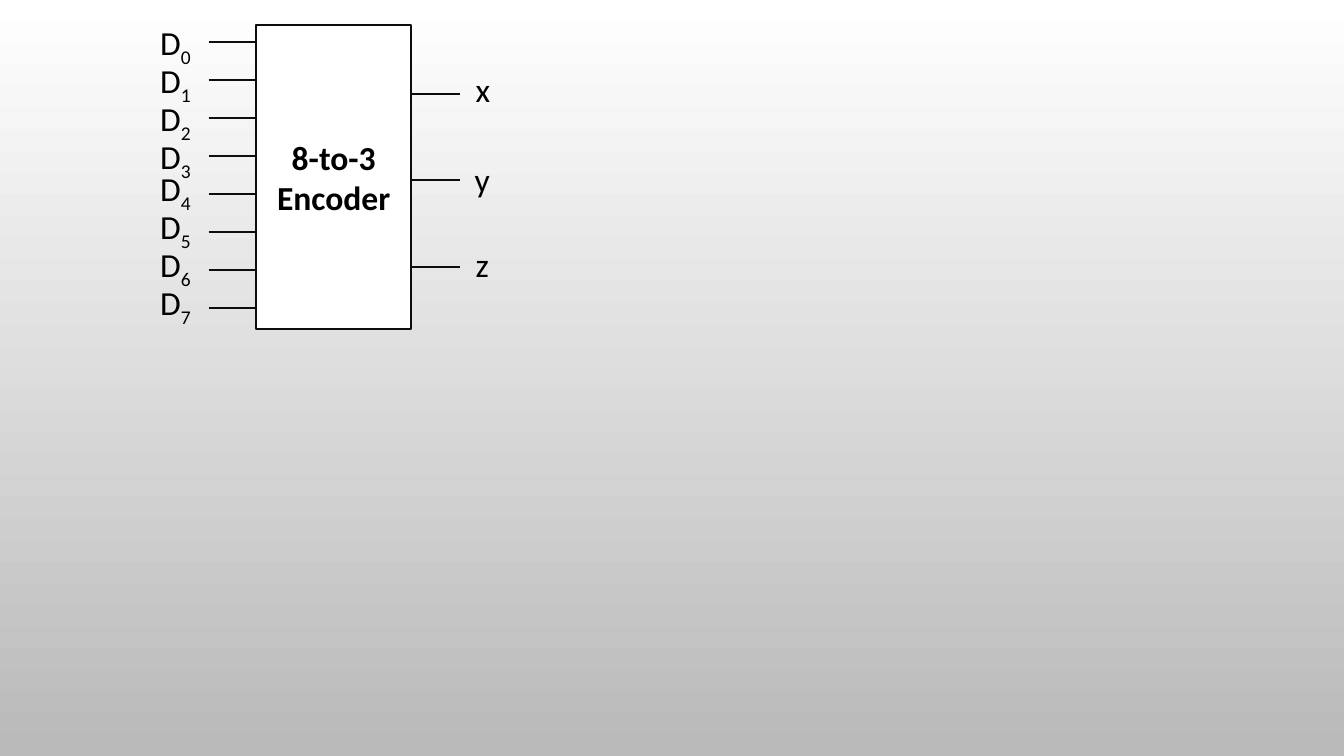
import pptx
import pptx.util
import pptx.dml.color
import pptx.enum.dml
import pptx.enum.shapes
import pptx.enum.text
import pptx.oxml
import pptx.oxml.ns

# Content
ENCODER_NAME = "8-to-3 Encoder"
INPUTS = [("D", str(index)) for index in range(8)]
# Output name, label left, label top, label width
OUTPUTS = [("x", 4.62, 0.63, 0.37), ("y", 4.61, 1.53, 0.37), ("z", 4.62, 2.37, 0.35)]

# Layout in inches
SLIDE_WIDTH, SLIDE_HEIGHT = 13.33, 7.5
BOX_LEFT, BOX_TOP, BOX_WIDTH, BOX_HEIGHT = 2.54, 0.25, 1.54, 3.01
WIRE_LENGTH = 0.47
INPUT_TOP, INPUT_STEP = 0.42, 2.64 / 7
OUTPUT_LEFT, OUTPUT_TOP, OUTPUT_STEP = 4.09, 0.93, 0.86
LABEL_LEFT, LABEL_WIDTH, LABEL_HEIGHT = 1.49, 0.53, 0.5
UPPER_LABEL_RISE, LOWER_LABEL_RISE = 0.25, 0.31

# Style
FONT_NAME, FONT_SIZE, LINE_WIDTH = "Calibri", 24, 1.5
WHITE = pptx.dml.color.RGBColor(0xFF, 0xFF, 0xFF)
GRAY = pptx.dml.color.RGBColor(0xB9, 0xB9, 0xB9)
INK = pptx.dml.color.RGBColor(0x0D, 0x0D, 0x0D)
BLACK = pptx.dml.color.RGBColor(0, 0, 0)


def inches(*lengths):
    return [pptx.util.Inches(length) for length in lengths]


def add_run(paragraph, text, bold=None, subscript=False):
    run = paragraph.add_run()
    run.text = text
    run.font.name = FONT_NAME
    run.font.size = pptx.util.Pt(FONT_SIZE)
    run.font.color.rgb = BLACK
    run.font.bold = bold
    if subscript:
        run._r.get_or_add_rPr().set("baseline", "-25000")


def style_line(line):
    line.color.rgb = INK
    line.width = pptx.util.Pt(LINE_WIDTH)


def add_wire(slide, left, top):
    wire = slide.shapes.add_connector(
        pptx.enum.shapes.MSO_CONNECTOR.STRAIGHT,
        *inches(left, top, left + WIRE_LENGTH, top))
    style_line(wire.line)
    wire._element.spPr.append(pptx.oxml.parse_xml(
        "<a:effectLst %s/>" % pptx.oxml.ns.nsdecls("a")))


def add_label(slide, left, top, width, name, subscript=""):
    label = slide.shapes.add_textbox(*inches(left, top, width, LABEL_HEIGHT))
    frame = label.text_frame
    frame.word_wrap = False
    frame.auto_size = pptx.enum.text.MSO_AUTO_SIZE.SHAPE_TO_FIT_TEXT
    add_run(frame.paragraphs[0], name)
    if subscript:
        add_run(frame.paragraphs[0], subscript, subscript=True)


def main():
    presentation = pptx.Presentation()
    presentation.slide_width, presentation.slide_height = inches(SLIDE_WIDTH, SLIDE_HEIGHT)
    slide = presentation.slides.add_slide(presentation.slide_layouts[6])

    # Background fading from white down to gray
    background = slide.background.fill
    background.gradient()
    background.gradient_angle = 270
    for stop, color, position in zip(background.gradient_stops, (WHITE, GRAY), (0, 1)):
        stop.color.rgb = color
        stop.position = position

    # Encoder box
    encoder = slide.shapes.add_shape(
        pptx.enum.shapes.MSO_SHAPE.RECTANGLE,
        *inches(BOX_LEFT, BOX_TOP, BOX_WIDTH, BOX_HEIGHT))
    encoder.shadow.inherit = False
    encoder.fill.solid()
    encoder.fill.fore_color.rgb = WHITE
    style_line(encoder.line)
    frame = encoder.text_frame
    frame.word_wrap = True
    frame.vertical_anchor = pptx.enum.text.MSO_ANCHOR.MIDDLE
    paragraph = frame.paragraphs[0]
    paragraph.alignment = pptx.enum.text.PP_ALIGN.CENTER
    add_run(paragraph, ENCODER_NAME, bold=True)

    # Inputs: the lower half of the labels sits slightly higher on its wires
    for index, (name, subscript) in enumerate(INPUTS):
        top = INPUT_TOP + index * INPUT_STEP
        rise = UPPER_LABEL_RISE if index < len(INPUTS) / 2 else LOWER_LABEL_RISE
        add_wire(slide, BOX_LEFT - WIRE_LENGTH, top)
        add_label(slide, LABEL_LEFT, top - rise, LABEL_WIDTH, name, subscript)

    # Outputs
    for index, (name, left, top, width) in enumerate(OUTPUTS):
        add_wire(slide, OUTPUT_LEFT, OUTPUT_TOP + index * OUTPUT_STEP)
        add_label(slide, left, top, width, name)

    presentation.save("out.pptx")


if __name__ == "__main__":
    main()
